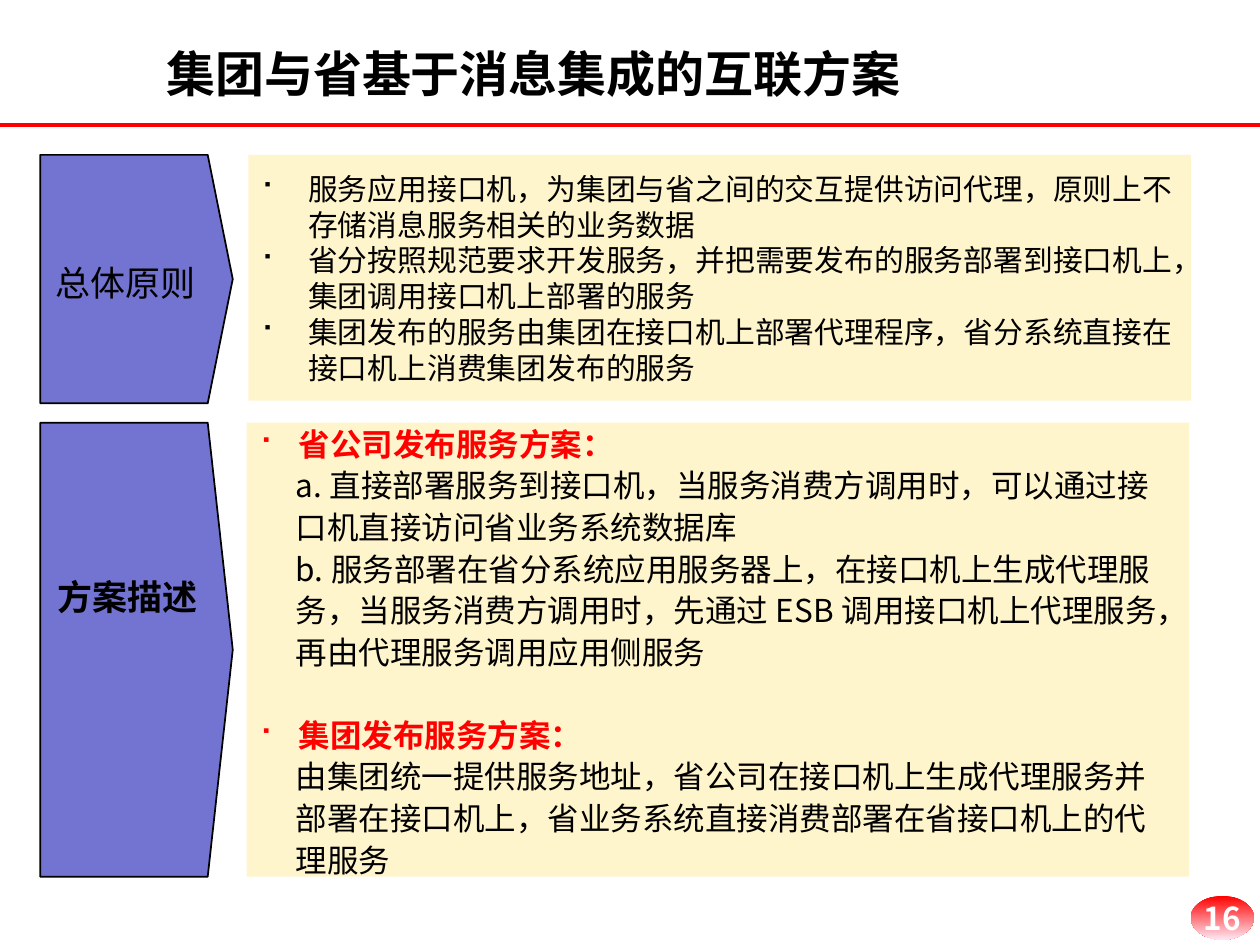
from pptx import Presentation
from pptx.dml.color import RGBColor
from pptx.enum.shapes import MSO_CONNECTOR, MSO_SHAPE
from pptx.enum.text import MSO_ANCHOR, PP_ALIGN
from pptx.oxml.ns import qn
from pptx.util import Pt
from lxml.etree import SubElement

SANS, HAN = "DejaVu Sans", "Noto Sans CJK SC"
RED, BLACK, WHITE = "FF0000", "000000", "FFFFFF"
BLUE, CREAM, PINK = "7373D1", "FFF5CC", "FEE7F2"


def tint(code):
    return RGBColor.from_string(code)


class Deck:
    def __init__(self):
        self.prs = Presentation()
        self.prs.slide_width, self.prs.slide_height = Pt(720), Pt(540)
        self.page = self.prs.slides.add_slide(self.prs.slide_layouts[6])

    def rule(self, y, color, width):
        line = self.page.shapes.add_connector(
            MSO_CONNECTOR.STRAIGHT, Pt(0), Pt(y), Pt(720), Pt(y))
        line.line.color.rgb = tint(color)
        line.line.width = Pt(width)
        SubElement(line._element.spPr, qn("a:effectLst"))

    def shape(self, kind, box, fill, edge=None):
        item = self.page.shapes.add_shape(kind, *map(Pt, box))
        item.shadow.inherit = False
        item.fill.solid()
        item.fill.fore_color.rgb = tint(fill)
        if edge:
            item.line.color.rgb = tint(edge)
            item.line.width = Pt(1)
        else:
            item.line.fill.background()
        return item

    def arrow(self, box):
        item = self.shape(MSO_SHAPE.PENTAGON, box, BLUE, BLACK)
        item.adjustments[0] = 0.13

    def label(self, box, text, anchor=MSO_ANCHOR.MIDDLE, **font):
        item = self.page.shapes.add_textbox(*map(Pt, box))
        self.put_text(item, [dict(text=text, **font)], anchor)

    def badge(self, box, text):
        item = self.shape(MSO_SHAPE.OVAL, box, RED)
        item.fill.gradient()
        item.fill.gradient_angle = 270
        for stop, code in zip(item.fill.gradient_stops, (RED, PINK)):
            stop.color.rgb = tint(code)
        self.put_text(item, [dict(text=text, size=18, bold=True, color=WHITE,
                                  form={"alignment": PP_ALIGN.CENTER})], wrap=False)

    def panel(self, box, paras):
        self.put_text(self.shape(MSO_SHAPE.RECTANGLE, box, CREAM), paras)

    def put_text(self, item, paras, anchor=MSO_ANCHOR.MIDDLE, wrap=True):
        frame = item.text_frame
        frame.word_wrap, frame.vertical_anchor = wrap, anchor
        for i, spec_map in enumerate(paras):
            para = frame.add_paragraph() if i else frame.paragraphs[0]
            self.fill_para(para, **spec_map)

    def fill_para(self, para, text, size, color=BLACK, bold=False, name=HAN,
                  form=None, left=0, hang=0):
        form = {"alignment": PP_ALIGN.LEFT} | (form or {})
        for key, val in form.items():
            setattr(para, key, val)
        if left:
            props = para._p.get_or_add_pPr()
            props.set("marL", str(Pt(left)))
            props.set("indent", str(Pt(-hang)))
            if hang:
                SubElement(props, qn("a:buFont"), typeface="Wingdings")
                SubElement(props, qn("a:buChar"), char="■")
        run = para.add_run()
        run.text = text
        for key, val in {"size": Pt(size), "bold": bold, "name": name}.items():
            setattr(run.font, key, val)
        run.font.color.rgb = tint(color)
        SubElement(run._r.rPr, qn("a:ea"), typeface=name)


def head(text, gap=0):
    form = {"line_spacing": 1.1, "space_before": Pt(gap)}
    return dict(text=text, size=18, color=RED, bold=True, left=22.5, hang=22.5, form=form)


def body(text):
    return dict(text=text, size=18, left=21, form={"line_spacing": 1.1})


def point(text):
    return dict(text=text, size=17, left=27, hang=27)


def main():
    deck = Deck()

    # Header and page number
    deck.rule(71.5, RED, 2)
    deck.badge((680.5, 512, 36, 25), "16")
    deck.label((88, 9.5, 493, 52.5), "集团与省基于消息集成的互联方案",
               MSO_ANCHOR.BOTTOM, size=28, bold=True, name=SANS)

    # Plan
    deck.arrow((23, 241.5, 110, 259.5))
    deck.label((25.5, 325, 95, 31.5), "方案描述", size=20, bold=True)
    deck.panel((141, 241.5, 538.5, 259.5), [
        head("省公司发布服务方案："),
        body("a.直接部署服务到接口机，当服务消费方调用时，可以通过接口机直接访问省业务系统数据库"),
        body("b.服务部署在省分系统应用服务器上，在接口机上生成代理服务，当服务消费方调用时，"
             "先通过ESB调用接口机上代理服务，再由代理服务调用应用侧服务"),
        head("集团发布服务方案：", 23.75),
        body("由集团统一提供服务地址，省公司在接口机上生成代理服务并部署在接口机上，"
             "省业务系统直接消费部署在省接口机上的代理服务"),
    ])

    # Principles
    deck.arrow((23, 88.5, 110, 142))
    deck.label((24.5, 145.5, 97, 31.5), "总体原则", size=20)
    deck.panel((142, 88.5, 538.5, 140.5), [
        point("服务应用接口机，为集团与省之间的交互提供访问代理，原则上不存储消息服务相关的业务数据"),
        point("省分按照规范要求开发服务，并把需要发布的服务部署到接口机上，集团调用接口机上部署的服务"),
        point("集团发布的服务由集团在接口机上部署代理程序，省分系统直接在接口机上消费集团发布的服务"),
    ])
    deck.prs.save("out.pptx")


if __name__ == "__main__":
    main()
